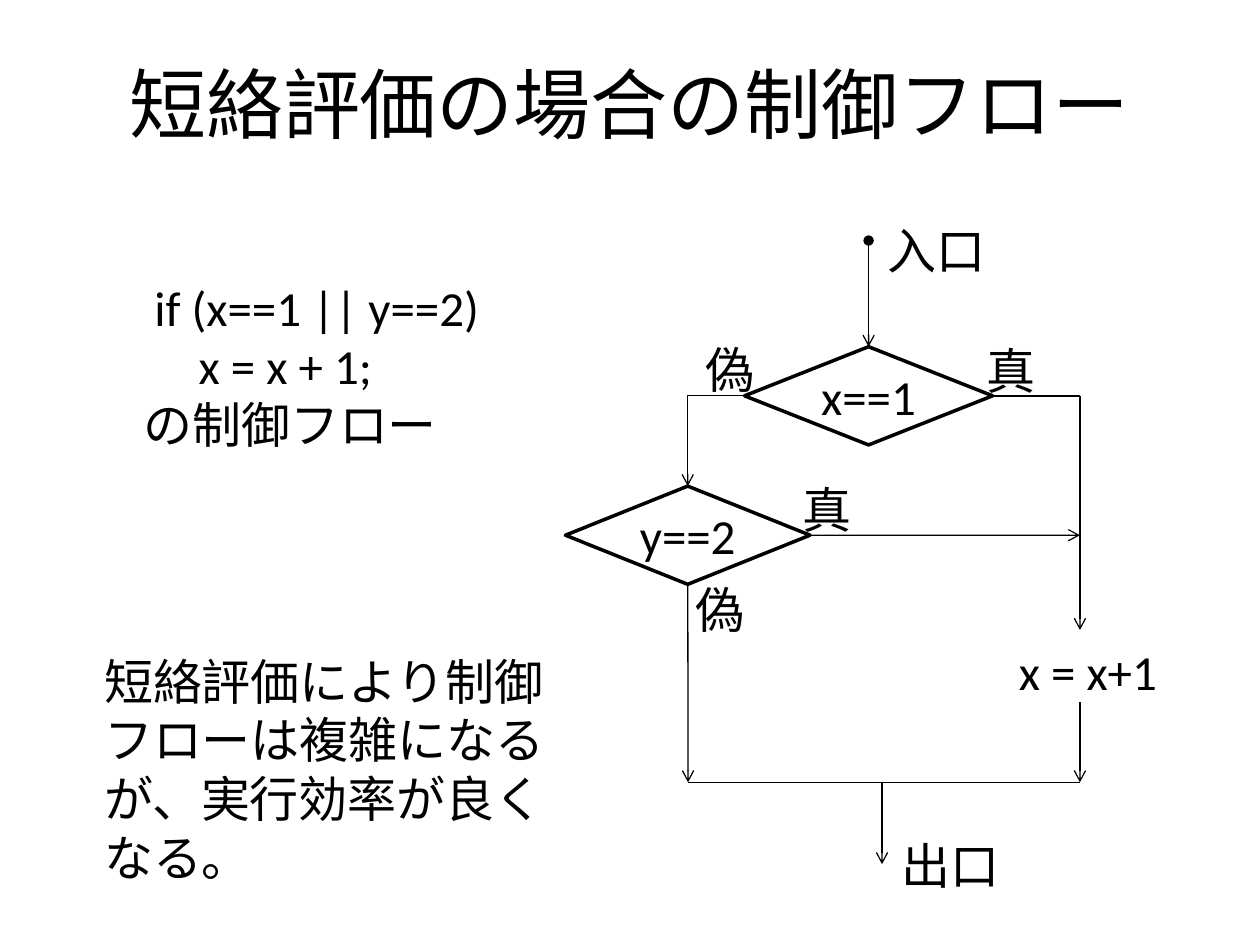
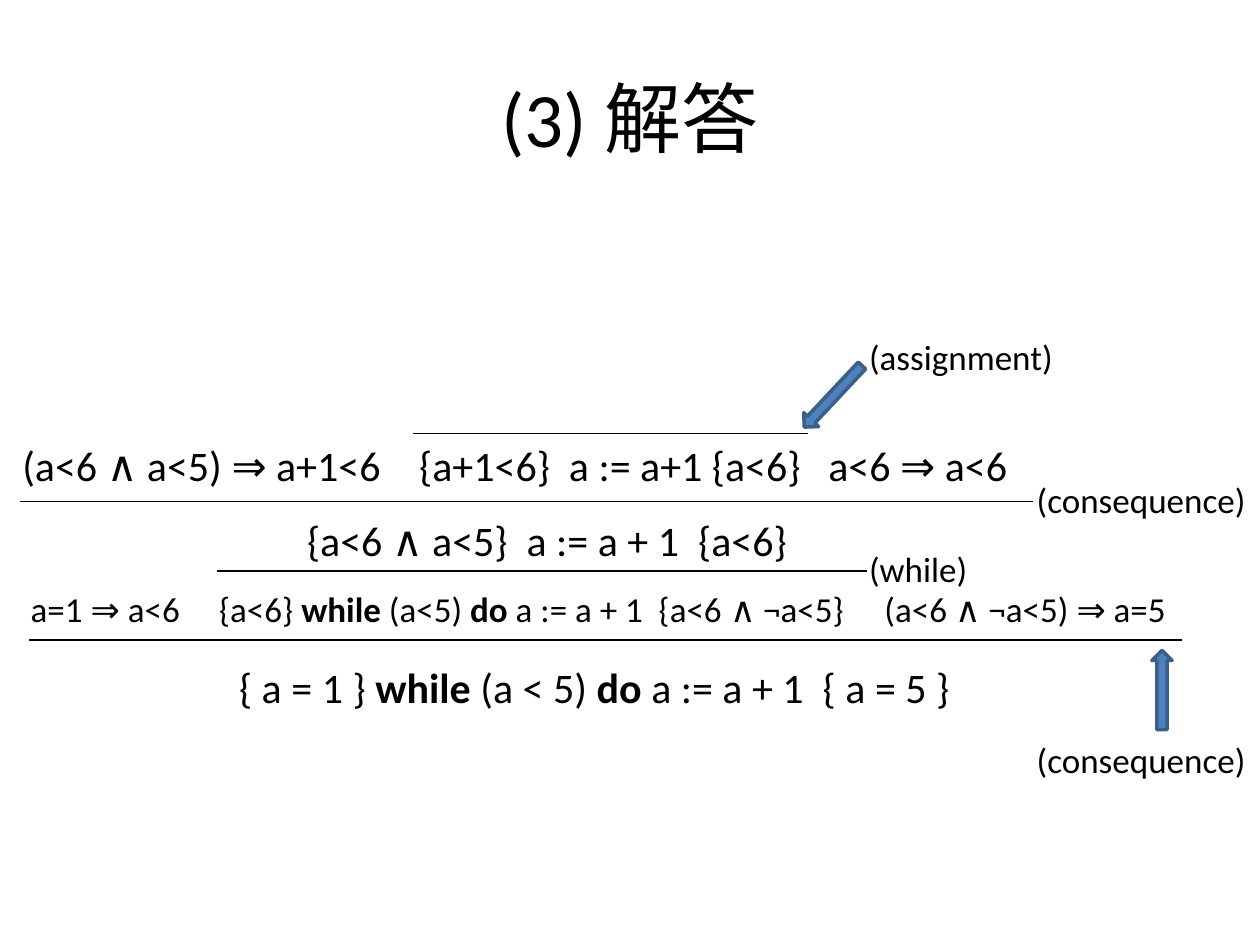
from lxml import etree
from pptx import Presentation
from pptx import util as u
from pptx.dml.color import RGBColor
from pptx.enum import shapes, text
from pptx.oxml.ns import qn

Cm, Pt = u.Cm, u.Pt
FONT, INK, BLUE, NAVY = "Calibri", "000000", "4F81BD", "3A5F8C"
STRAIGHT, ELBOW = shapes.MSO_CONNECTOR.STRAIGHT, shapes.MSO_CONNECTOR.ELBOW
TOP, LEFT, BOTTOM, RIGHT = range(4)


def write(tf, content, size=28, align=None, wrap=False, anchor=None, tabs=(), grow=True):
    """Fill a text frame; newlines split paragraphs, *stars* mark bold."""
    tf.word_wrap = wrap
    if grow:
        tf.auto_size = text.MSO_AUTO_SIZE.SHAPE_TO_FIT_TEXT
    if anchor is not None:
        tf.vertical_anchor = anchor
    for i, line in enumerate(content.split("\n")):
        p = tf.add_paragraph() if i else tf.paragraphs[0]
        if align is not None:
            p.alignment = align
        if tabs:
            tab_list = etree.SubElement(p._p.get_or_add_pPr(), qn("a:tabLst"))
            for pos in tabs:
                etree.SubElement(tab_list, qn("a:tab"), pos=str(Cm(pos)), algn="l")
        for j, part in enumerate(line.split("*")):
            r = p.add_run()
            r.text = part
            r.font.name, r.font.size, r.font.bold = FONT, Pt(size), j % 2 == 1
            r.font.color.rgb = RGBColor.from_string(INK)


def connect(s, x1, y1, x2, y2, kind=STRAIGHT, head=None, tail=None, begin=None, end=None):
    """Draw a thin line; begin and end are (shape, side) pairs to join."""
    c = s.shapes.add_connector(kind, Cm(x1), Cm(y1), Cm(x2), Cm(y2))
    if begin:
        c.begin_connect(*begin)
    if end:
        c.end_connect(*end)
    c.line.color.rgb = RGBColor.from_string(INK)
    c.line.width = Pt(0.75)
    ln = c.line._get_or_add_ln()
    for tag, style in (("a:headEnd", head), ("a:tailEnd", tail)):
        if style:
            etree.SubElement(ln, qn(tag), type=style)
    etree.SubElement(c._element.spPr, qn("a:effectLst"))
    return c


prs = Presentation()
prs.slide_width, prs.slide_height = Cm(25.4), Cm(19.05)

# Titles
slides = []
for title, height in (("短絡評価の場合の制御フロー", 2.64), ("(3) 解答", 3.18)):
    s = prs.slides.add_slide(prs.slide_layouts[5])
    sp = s.shapes.title
    sp.left, sp.top, sp.width, sp.height = Cm(1.27), Cm(0.76), Cm(22.86), Cm(height)
    write(sp.text_frame, title, size=44, align=text.PP_ALIGN.CENTER, wrap=True,
          anchor=text.MSO_ANCHOR.MIDDLE, grow=False)
    slides.append(s)
flow, proof = slides

# Flowchart: decisions
decisions = []
for label, x, y, w in (("x==1", 15.01, 6.99, 5), ("y==2", 11.4, 9.8, 4.93)):
    sp = flow.shapes.add_shape(shapes.MSO_SHAPE.DIAMOND, Cm(x), Cm(y), Cm(w), Cm(1.98))
    sp.shadow.inherit = False
    sp.fill.background()
    sp.line.color.rgb = RGBColor.from_string(INK)
    sp.line.width = Pt(2)
    write(sp.text_frame, label, align=text.PP_ALIGN.CENTER,
          anchor=text.MSO_ANCHOR.MIDDLE, grow=False)
    decisions.append(sp)
test_x, test_y = decisions

# Flowchart: paths
x_mid, x_row, y_mid, y_row = 17.51, 7.98, 13.87, 10.79
true_col, join_row, exit_col = 21.77, 15.77, 17.78
connect(flow, x_mid, 4.85, x_mid, 6.99, head="oval", tail="arrow", end=(test_x, TOP))
bend = connect(flow, 15.01, x_row, y_mid, 9.8, kind=ELBOW, tail="arrow",
               begin=(test_x, LEFT), end=(test_y, TOP))
bend._element.spPr.find(qn("a:prstGeom")).set("prst", "bentConnector2")
connect(flow, 20.01, x_row, true_col, x_row, begin=(test_x, RIGHT))
connect(flow, true_col, x_row, true_col, 12.7, tail="arrow")
connect(flow, 16.33, y_row, true_col, y_row, tail="arrow", begin=(test_y, RIGHT))
connect(flow, y_mid, 11.78, y_mid, join_row, tail="arrow", begin=(test_y, BOTTOM))
connect(flow, true_col, 14.15, true_col, join_row, tail="arrow")
connect(flow, y_mid, join_row, true_col, join_row)
connect(flow, exit_col, join_row, exit_col, 17.42, tail="arrow")

# Flowchart: labels
for label, x, y, w in (
    ("入口", 17.65, 4.32, 2.51),
    ("出口", 17.93, 16.71, 2.51),
    ("偽", 13.97, 6.71, 1.5),
    ("真", 19.63, 6.73, 1.5),
    ("真", 15.93, 9.55, 1.5),
    ("偽", 13.77, 11.56, 1.5),
    ("x = x+1", 20.29, 12.8, 3.33),
):
    sp = flow.shapes.add_textbox(Cm(x), Cm(y), Cm(w), Cm(1.45))
    write(sp.text_frame, label)

# Flowchart: code and remark
sp = flow.shapes.add_textbox(Cm(2.64), Cm(5.46), Cm(7.59), Cm(3.84))
write(sp.text_frame, " if (x==1 || y==2)\n     x = x + 1;\nの制御フロー")
sp = flow.shapes.add_textbox(Cm(1.85), Cm(13), Cm(9.93), Cm(3.84))
write(sp.text_frame, "短絡評価により制御フローは複雑になるが、実行効率が良くなる。", wrap=True)

# Proof tree: judgements, top to bottom
for judgement, x, y, w, size, tabs in (
    ("(a<6 ∧ a<5) ⇒ a+1<6\t{a+1<6}  a := a+1 {a<6}\ta<6 ⇒ a<6",
     0.2, 8.74, 21.6, 24, (8, 16.25)),
    ("{a<6 ∧ a<5}  a := a + 1  {a<6}", 5.94, 10.24, 11.3, 24, ()),
    ("a=1 ⇒ a<6\t{a<6} *while* (a<5) *do* a := a + 1  {a<6 ∧ ¬a<5}\t(a<6 ∧ ¬a<5) ⇒ a=5",
     0.37, 11.71, 24.2, 20, (3.8, 17.21)),
    ("{ a = 1 } *while* (a < 5) *do* a := a + 1  { a = 5 }", 4.57, 13.21, 15.47, 24, ()),
):
    sp = proof.shapes.add_textbox(Cm(x), Cm(y), Cm(w), Cm(1.27 if size == 24 else 1.12))
    write(sp.text_frame, judgement, size=size, wrap=True, tabs=tabs)

# Proof tree: inference bars
for x1, x2, y in ((8.33, 16.28, 8.74), (0.41, 20.83, 10.11),
                  (4.37, 17.48, 11.51), (0.58, 23.83, 12.9)):
    connect(proof, x1, y, x2, y)

# Proof tree: rule names
for rule, x, y, w in (
    ("(assignment)", 17.27, 6.63, 4.27),
    ("(consequence)", 20.65, 9.53, 4.78),
    ("(while)", 17.27, 10.92, 2.51),
    ("(consequence)", 20.65, 14.76, 4.78),
):
    sp = proof.shapes.add_textbox(Cm(x), Cm(y), Cm(w), Cm(1.12))
    write(sp.text_frame, rule, size=20)

# Proof tree: arrows from rule names to bars
for kind, x, y, h, angle in ((shapes.MSO_SHAPE.UP_ARROW, 23.22, 13.11, 1.6, 0),
                             (shapes.MSO_SHAPE.DOWN_ARROW, 16.59, 7.14, 1.7, 43.2)):
    sp = proof.shapes.add_shape(kind, Cm(x), Cm(y), Cm(0.41), Cm(h))
    sp.rotation = angle
    sp.shadow.inherit = False
    sp.fill.solid()
    sp.fill.fore_color.rgb = RGBColor.from_string(BLUE)
    sp.line.color.rgb = RGBColor.from_string(NAVY)
    sp.line.width = Pt(2)

prs.save("out.pptx")
